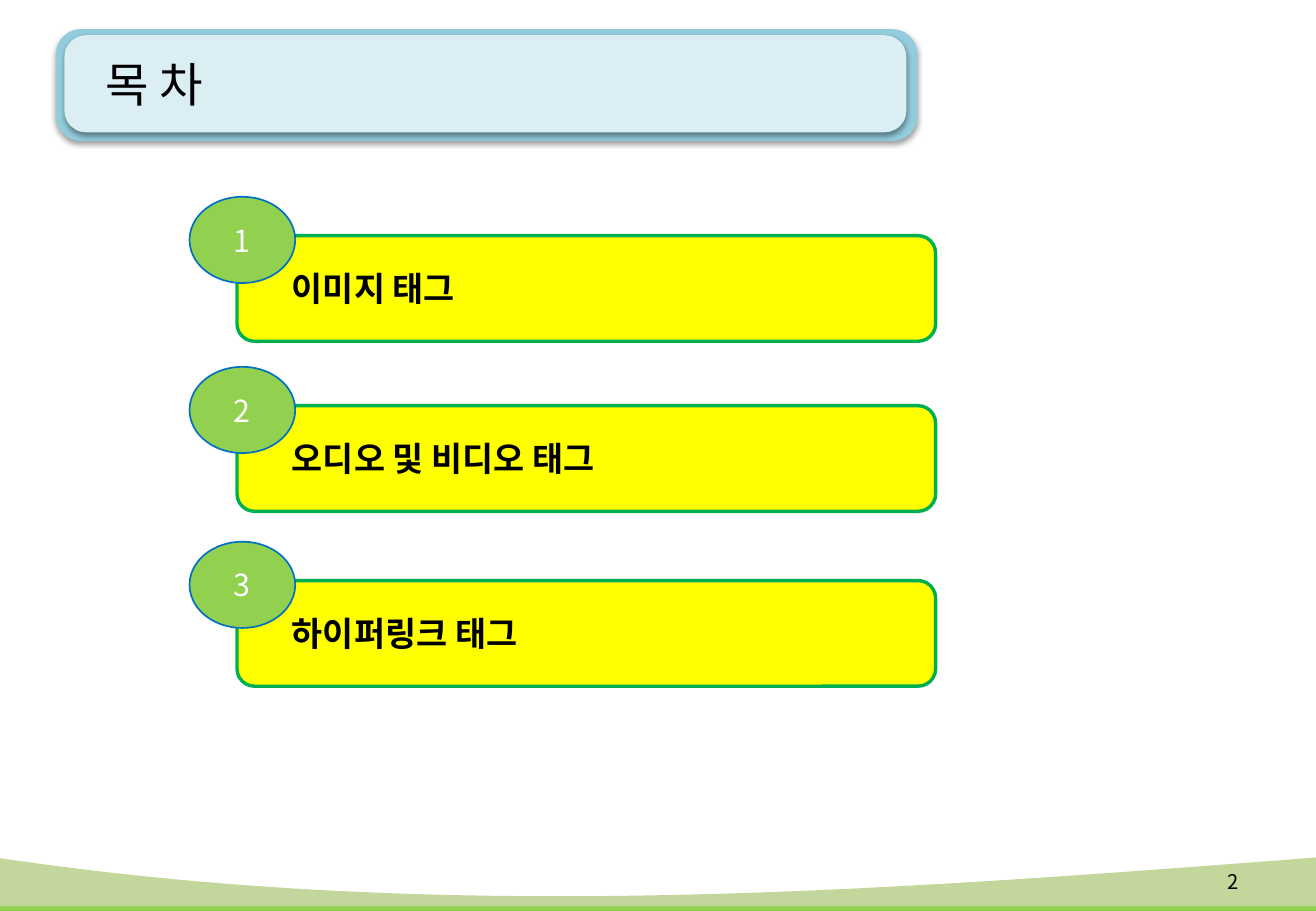
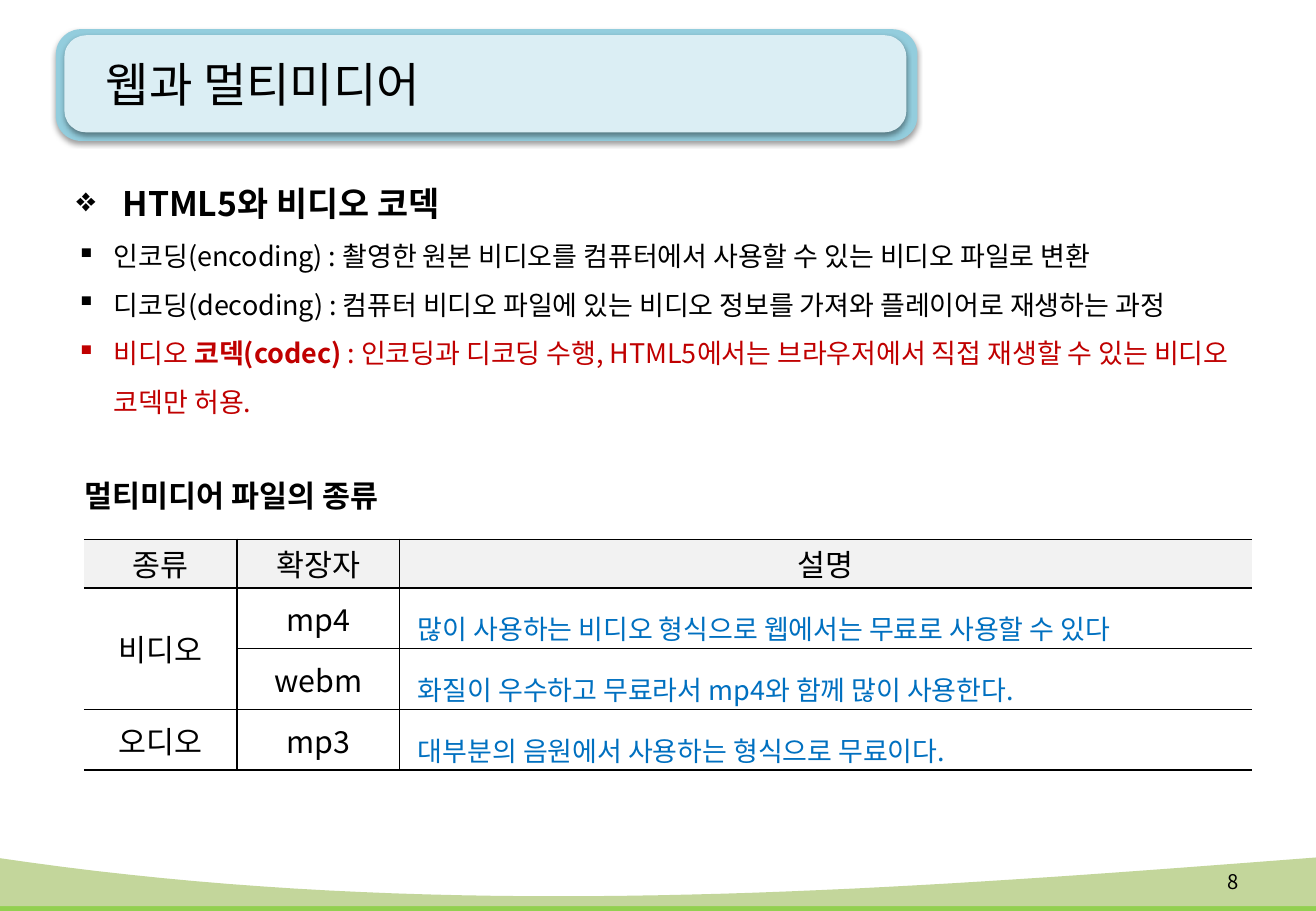
from dataclasses import dataclass
from typing import NamedTuple

from lxml import etree
from pptx import Presentation
from pptx.dml.color import RGBColor
from pptx.enum.shapes import MSO_SHAPE
from pptx.enum.text import MSO_ANCHOR, PP_ALIGN
from pptx.oxml.ns import qn
from pptx.util import Inches, Pt

ROUND, OVAL = MSO_SHAPE.ROUNDED_RECTANGLE, MSO_SHAPE.OVAL
LEFT, MID, RIGHT = PP_ALIGN.LEFT, PP_ALIGN.CENTER, PP_ALIGN.RIGHT
TOP, CENTER = MSO_ANCHOR.TOP, MSO_ANCHOR.MIDDLE


def rgb(code: str) -> RGBColor:
    return RGBColor.from_string(code)


@dataclass(frozen=True)
class Theme:
    font: str = "Noto Sans CJK KR"
    black: RGBColor = rgb("000000")
    white: RGBColor = rgb("FFFFFF")
    red: RGBColor = rgb("C00000")
    blue: RGBColor = rgb("0070C0")
    green: RGBColor = rgb("00B050")
    lime: RGBColor = rgb("92D050")
    sage: RGBColor = rgb("C3D69B")
    yellow: RGBColor = rgb("FFFF00")
    frame: RGBColor = rgb("93CDDD")
    panel: RGBColor = rgb("DBEEF4")
    grey: RGBColor = rgb("F2F2F2")
    title: int = 28
    head: int = 20
    label: int = 18
    body: int = 16
    page: int = 12


T = Theme()


class Box(NamedTuple):
    x: float
    y: float
    w: float
    h: float

    def place(self) -> tuple:
        return tuple(Inches(v) for v in self)


class Style(NamedTuple):
    size: int
    color: RGBColor = T.black
    bold: bool = False
    align: PP_ALIGN = LEFT
    space: float = 1.0


class Wave(NamedTuple):
    """A band whose top edge is a cubic curve with these four heights."""
    tops: tuple
    base: float
    color: RGBColor


class Item(NamedTuple):
    top: float
    text: str


class Point(NamedTuple):
    mark: str
    indent: float
    words: tuple


WAVES = (Wave((7.24, 7.6, 7.43, 7.24), 7.5, T.lime),
         Wave((7.06, 7.61, 7.34, 7.06), 7.46, T.sage))
WAVE_XS = (-0.04, 3.64, 7.19, 10.83)
PANELS = ((Box(0.46, 0.24, 7.09, 0.92), T.frame),
          (Box(0.53, 0.29, 6.93, 0.8), T.panel))

ITEMS = (Item(1.62, "이미지 태그"),
         Item(3.02, "오디오 및 비디오 태그"),
         Item(4.46, "하이퍼링크 태그"))

HEAD = Style(T.head, bold=True, space=1.5)
BODY = Style(T.body, space=1.5)
ALERT = BODY._replace(color=T.red)
POINTS = (
    Point("❖", 0.38, (("HTML5와 비디오 코덱", HEAD),)),
    Point("▪", 0.31, (("인코딩(encoding) : 촬영한 원본 비디오를 컴퓨터에서 사용할 수 있는 "
                       "비디오 파일로 변환", BODY),)),
    Point("▪", 0.31, (("디코딩(decoding) : 컴퓨터 비디오 파일에 있는 비디오 정보를 가져와 "
                       "플레이어로 재생하는 과정", BODY),)),
    Point("▪", 0.31, (("비디오 ", ALERT),
                      ("코덱(codec)", ALERT._replace(bold=True)),
                      (" : 인코딩과 디코딩 수행, HTML5에서는 브라우저에서 직접 재생할 수 있는 "
                       "비디오 코덱만 허용.", ALERT))),
)

COLS = (1.26, 1.34, 7.01)
ROWS = (0.4, 0.5, 0.5, 0.5)
CELLS = (
    ("종류", "확장자", "설명"),
    ("비디오", "mp4", "많이 사용하는 비디오 형식으로 웹에서는 무료로 사용할 수 있다"),
    ("", "webm", "화질이 우수하고 무료라서 mp4와 함께 많이 사용한다."),
    ("오디오", "mp3", "대부분의 음원에서 사용하는 형식으로 무료이다."),
)


def format_para(para, style: Style) -> None:
    para.alignment = style.align
    para.line_spacing = style.space
    for run in para.runs:
        format_run(run, style)


def format_run(run, style: Style) -> None:
    font = run.font
    font.name, font.size, font.bold = T.font, Pt(style.size), style.bold
    font.color.rgb = style.color
    etree.SubElement(run._r.get_or_add_rPr(), qn("a:ea"), typeface=T.font)


def write(shape, text: str, style: Style, inset: float = 0.1) -> None:
    frame = shape.text_frame
    frame.word_wrap = True
    frame.vertical_anchor = CENTER
    frame.margin_left = Inches(inset)
    frame.text = text
    format_para(frame.paragraphs[0], style)


def add_text(slide, box: Box, text: str, style: Style, inset: float = 0.1) -> None:
    write(slide.shapes.add_textbox(*box.place()), text, style, inset)


def add_shape(slide, kind, box: Box, fill: RGBColor, line=None, width: float = 1):
    shape = slide.shapes.add_shape(kind, *box.place())
    shape.fill.solid()
    shape.fill.fore_color.rgb = fill
    if line is None:
        shape.line.fill.background()
    else:
        shape.line.color.rgb = line
        shape.line.width = Pt(width)
    shape.shadow.inherit = False
    return shape


def add_shadow(shape) -> None:
    effects = shape._element.spPr.find(qn("a:effectLst"))
    outer = etree.SubElement(effects, qn("a:outerShdw"), blurRad="40000",
                             dist="20000", dir="5400000", rotWithShape="0")
    color = etree.SubElement(outer, qn("a:srgbClr"), val=str(T.black))
    etree.SubElement(color, qn("a:alpha"), val="38000")


def curve(ends: tuple, t: float) -> float:
    a, b, c, d = ends
    u = 1 - t
    return a * u**3 + 3 * b * u * u * t + 3 * c * u * t * t + d * t**3


def add_wave(slide, wave: Wave, steps: int = 40) -> None:
    edge = [(curve(WAVE_XS, i / steps), curve(wave.tops, i / steps))
            for i in range(steps + 1)]
    edge += [(WAVE_XS[-1], wave.base), (WAVE_XS[0], wave.base)]
    spots = [(Inches(x), Inches(y)) for x, y in edge]
    pen = slide.shapes.build_freeform(*spots[0])
    pen.add_line_segments(spots[1:], close=True)
    shape = pen.convert_to_shape()
    shape.fill.solid()
    shape.fill.fore_color.rgb = wave.color
    shape.line.fill.background()
    shape.shadow.inherit = False


def add_page(deck, title: str, number: int):
    """Add a slide with the shared title panel, waves and page number."""
    slide = deck.slides.add_slide(deck.slide_layouts[6])
    add_wave(slide, WAVES[0])
    for box, color in PANELS:
        panel = add_shape(slide, ROUND, box, color)
        panel.adjustments[0] = 0.225
        add_shadow(panel)
    add_wave(slide, WAVES[1])
    add_text(slide, Box(0.46, 0.22, 7.01, 0.94), title, Style(T.title), 0.41)
    add_text(slide, Box(9.68, 7.06, 0.61, 0.4), str(number),
             Style(T.page, align=RIGHT))
    return slide


def add_item(slide, number: int, item: Item) -> None:
    bar = add_shape(slide, ROUND, Box(1.95, item.top + 0.32, 5.75, 0.87),
                    T.yellow, T.green, 2)
    write(bar, item.text, Style(T.head, bold=True), 0.41)
    disc = add_shape(slide, OVAL, Box(1.56, item.top, 0.87, 0.71), T.lime, T.blue)
    write(disc, str(number), Style(T.label, T.white, align=MID))


def add_points(slide, box: Box) -> None:
    frame = slide.shapes.add_textbox(*box.place()).text_frame
    frame.word_wrap = True
    frame.vertical_anchor = TOP
    for i, point in enumerate(POINTS):
        para = frame.add_paragraph() if i else frame.paragraphs[0]
        para.line_spacing = BODY.space
        indent = Inches(point.indent)
        props = para._p.get_or_add_pPr()
        props.set("marL", str(indent))
        props.set("indent", str(-indent))
        etree.SubElement(props, qn("a:buChar"), char=point.mark)
        for text, style in point.words:
            run = para.add_run()
            run.text = text
            format_run(run, style)


def add_edges(cell, drawn: str) -> None:
    """Rule the named sides (of L, R, T, B) and clear the others."""
    props = cell._tc.get_or_add_tcPr()
    for i, side in enumerate("LRTB"):
        line = etree.Element(qn(f"a:ln{side}"), w=str(Pt(1)))
        if side in drawn:
            fill = etree.SubElement(line, qn("a:solidFill"))
            etree.SubElement(fill, qn("a:srgbClr"), val=str(T.black))
        else:
            etree.SubElement(line, qn("a:noFill"))
        props.insert(i, line)


def fill_cell(cell, row: int, col: int) -> None:
    note = row > 0 and col == 2
    cell.vertical_anchor = CENTER
    cell.margin_top = cell.margin_bottom = 0
    cell.margin_left = Inches(0.15 if note else 0.1)
    if row:
        cell.fill.background()
    else:
        cell.fill.solid()
        cell.fill.fore_color.rgb = T.grey
    cell.text_frame.text = CELLS[row][col]
    style = BODY._replace(color=T.blue) if note else Style(T.label, align=MID)
    format_para(cell.text_frame.paragraphs[0], style)
    sides = "B" if cell.is_spanned else "TB"
    add_edges(cell, sides + ("L" if col else "") + ("R" if col < 2 else ""))


def add_grid(slide, x: float, y: float) -> None:
    box = Box(x, y, sum(COLS), sum(ROWS))
    table = slide.shapes.add_table(len(ROWS), len(COLS), *box.place()).table
    table.first_row = table.horz_banding = False
    for col, width in zip(table.columns, COLS):
        col.width = Inches(width)
    table.cell(1, 0).merge(table.cell(2, 0))
    for r, height in enumerate(ROWS):
        table.rows[r].height = Inches(height)
        for c in range(len(COLS)):
            fill_cell(table.cell(r, c), r, c)


def main() -> None:
    deck = Presentation()
    deck.slide_width, deck.slide_height = Inches(10.83), Inches(7.5)

    slide = add_page(deck, "목 차", 2)
    for number, item in enumerate(ITEMS, 1):
        add_item(slide, number, item)

    slide = add_page(deck, "웹과 멀티미디어", 8)
    add_points(slide, Box(0.53, 1.29, 10.16, 2.22))
    add_text(slide, Box(0.6, 3.75, 3.75, 0.5), "멀티미디어 파일의 종류",
             Style(T.label, bold=True, space=1.5))
    add_grid(slide, 0.69, 4.44)

    deck.save("out.pptx")


if __name__ == "__main__":
    main()
